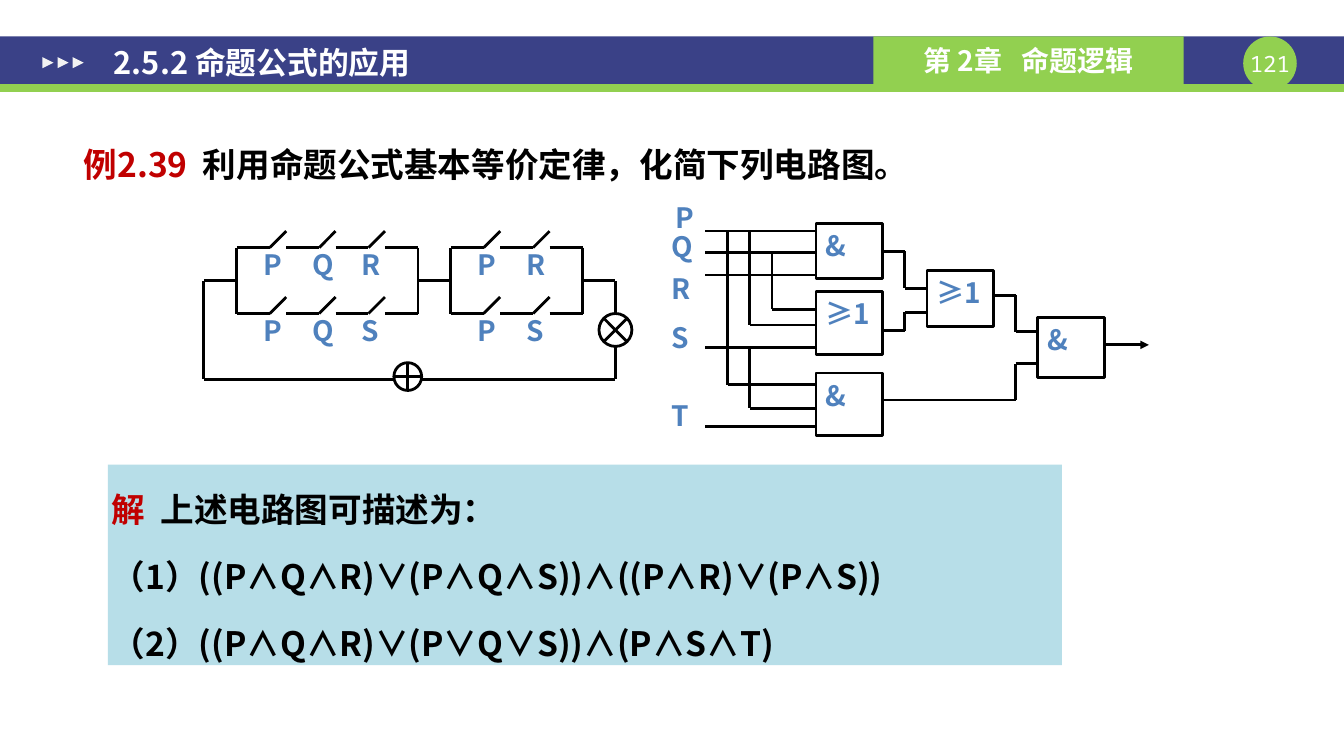
import pptx
import pptx.dml.color
import pptx.enum.shapes
import pptx.enum.text
import pptx.oxml.ns
import pptx.util
import lxml.etree

Cm = pptx.util.Cm
Pt = pptx.util.Pt
SHAPE = pptx.enum.shapes.MSO_SHAPE
ALIGN = pptx.enum.text.PP_ALIGN
ANCHOR = pptx.enum.text.MSO_ANCHOR
qn = pptx.oxml.ns.qn

NAVY, GREEN, RED, BLUE = "3A4187", "92D050", "C00000", "4F81BD"
WHITE, BLACK, PALE, LIGHT = "FFFFFF", "000000", "B7DEE8", "F2F2F2"


def colour(value):
    return pptx.dml.color.RGBColor.from_string(value)


class Board:
    font = "Noto Sans CJK SC"
    stroke = Pt(2)

    def __init__(self, page):
        self.page = page

    def fill_text(self, box, paragraphs, size, align=ALIGN.LEFT, anchor=ANCHOR.TOP,
                  insets=(0.25, 0.13), leading=None, before=0, bold=True, font=None):
        frame = box.text_frame
        frame.word_wrap = True
        frame.auto_size = pptx.enum.text.MSO_AUTO_SIZE.NONE
        frame.vertical_anchor = anchor
        frame.margin_left = frame.margin_right = Cm(insets[0])
        frame.margin_top = frame.margin_bottom = Cm(insets[1])
        for index, spans in enumerate(paragraphs):
            para = frame.add_paragraph() if index else frame.paragraphs[0]
            para.alignment = align
            para.space_before = Pt(before if index else 0)
            if leading:
                para.line_spacing = leading
            for text, tint, *tracking in spans:
                span = para.add_run()
                span.text = text
                span.font.size = Pt(size)
                span.font.bold = bold
                span.font.name = font or self.font
                span.font.color.rgb = colour(tint)
                properties = span._r.get_or_add_rPr()
                asian = lxml.etree.SubElement(properties, qn("a:ea"))
                asian.set("typeface", font or self.font)
                if tracking:
                    properties.set("spc", str(round(tracking[0] * 100)))

    def shape(self, kind, left, top, width, height, fill, outlined=False):
        box = self.page.shapes.add_shape(kind, Cm(left), Cm(top), Cm(width), Cm(height))
        box.shadow.inherit = False
        box.fill.solid()
        box.fill.fore_color.rgb = colour(fill)
        if outlined:
            box.line.color.rgb = colour(BLACK)
            box.line.width = self.stroke
        else:
            box.line.fill.background()
        return box

    def placeholder(self, box, left, top, width, height):
        box.left, box.top, box.width, box.height = Cm(left), Cm(top), Cm(width), Cm(height)
        box.element.getparent().append(box.element)
        return box

    def label(self, text, left, top, width=0.84, height=1.24, outlined=False):
        box = self.shape(SHAPE.RECTANGLE, left, top, width, height, WHITE, outlined)
        self.fill_text(box, [[(text, BLUE)]], 20)

    def gate(self, text, left, top, height):
        self.label(text, left, top, 1.68, height, True)

    def wire(self, *points, arrow=False):
        for start, end in zip(points, points[1:]):
            line = self.page.shapes.add_connector(
                pptx.enum.shapes.MSO_CONNECTOR.STRAIGHT, *map(Cm, start + end))
            line.line.color.rgb = colour(BLACK)
            line.line.width = self.stroke
            properties = line.element.spPr
            if arrow:
                tip = lxml.etree.SubElement(properties.find(qn("a:ln")), qn("a:tailEnd"))
                tip.set("type", "triangle")
            lxml.etree.SubElement(properties, qn("a:effectLst"))

    def header(self):
        self.shape(SHAPE.RECTANGLE, 0, 0.92, 33.88, 1.2, NAVY)
        self.shape(SHAPE.RECTANGLE, 0, 2.12, 33.88, 0.2, GREEN)
        number = self.shape(SHAPE.OVAL, 31.34, 0.92, 1.35, 1.35, GREEN)
        self.fill_text(number, [[("121", WHITE)]], 16, ALIGN.CENTER, ANCHOR.MIDDLE,
                       (0, 0), bold=False, font="Noto Sans Mono")
        number.text_frame.word_wrap = False
        chapter = self.shape(SHAPE.RECTANGLE, 22.02, 0.92, 7.82, 1.2, GREEN)
        self.fill_text(chapter, [[("第 2章", WHITE), (" ", WHITE, 9), ("命题逻辑", WHITE)]],
                       20, ALIGN.CENTER, ANCHOR.MIDDLE)
        for index in range(3):
            mark = self.shape(SHAPE.ISOSCELES_TRIANGLE, 1.07 + 0.38 * index, 1.44, 0.28, 0.28, LIGHT)
            mark.rotation = 90
        title = self.placeholder(self.page.shapes.title, 2.54, 0.28, 22.4, 2.57)
        self.fill_text(title, [[("2.5.2 命题公式的应用", WHITE)]], 22,
                       anchor=ANCHOR.MIDDLE, insets=(0.33, 0.18))

    def example(self):
        body = self.placeholder(self.page.placeholders[1], 1.78, 2.95, 30.18, 1.5)
        properties = body.text_frame.paragraphs[0]._p.get_or_add_pPr()
        properties.set("marL", "0")
        properties.set("indent", "0")
        lxml.etree.SubElement(properties, qn("a:buNone"))
        self.fill_text(body, [[("例2.39", RED), (" ", RED, 5.4),
                               ("利用命题公式基本等价定律，化简下列电路图。", BLACK)]],
                       24, insets=(0.33, 0.18), leading=1.5)

    def switch_circuit(self):
        unit, left, upper = 0.415, 5.14, 6.24
        lower, middle, bottom = upper + 4 * unit, upper + 2 * unit, upper + 8 * unit
        blocks = [(left + 2 * unit, ("PQR", "PQS")), (left + 15 * unit, ("PR", "PS"))]
        for start, rows in blocks:
            for names, level in zip(rows, (upper, lower)):
                for index, name in enumerate(names):
                    self.label(name, start + unit + 1.24 * index, level - 0.13)
        for start, rows in blocks:
            end = start + (3 * len(rows[0]) + 2) * unit
            for level in (upper, lower):
                for index in range(len(rows[0])):
                    near = start + 3 * unit * index
                    hinge = near + 2 * unit
                    self.wire((near, level), (hinge, level), (hinge + unit, level - unit))
                self.wire((end - 2 * unit, level), (end, level))
            for side in (start, end):
                self.wire((side, upper), (side, lower))
            self.wire((end, middle), (end + 2 * unit, middle))
        right = left + 25 * unit
        self.wire((left + 2 * unit, middle), (left, middle), (left, bottom),
                  (right, bottom), (right, middle))
        self.shape(SHAPE.FLOWCHART_SUMMING_JUNCTION, right - unit, lower, 0.83, 0.83, WHITE, True)
        self.shape(SHAPE.FLOWCHART_OR, 9.93, 9.14, 0.7, 0.7, WHITE, True)

    def gate_circuit(self):
        for name, left, top, height in (
                ("T", 16.69, 9.91, 1.42), ("S", 16.69, 7.95, 1.42), ("R", 16.69, 6.71, 0.91),
                ("Q", 16.69, 5.66, 0.99), ("P", 16.79, 4.93, 0.74)):
            self.label(name, left, top, 1.1, height)
        entry, gates = 17.78, 20.57
        for level in (5.82, 6.36, 6.93, 8.75, 10.74):
            self.wire((entry, level), (gates, level))
        for across, start, end in ((18.34, 5.82, 9.7), (18.9, 5.82, 8.19),
                                   (18.9, 8.75, 10.29), (19.46, 6.36, 7.79)):
            self.wire((across, start), (across, end), (gates, end))
        for start, bend, stop, source, target in (
                (22.25, 22.81, 23.37, 6.33, 7.26), (22.25, 22.81, 23.37, 8.33, 7.87),
                (25.04, 25.6, 26.16, 7.44, 8.36), (22.25, 25.6, 26.16, 10.08, 9.16)):
            self.wire((start, source), (bend, source), (bend, target), (stop, target))
        self.wire((27.84, 8.69), (28.96, 8.69), arrow=True)
        for text, left, top, height in (
                ("&", gates, 5.64, 1.37), ("≥1", gates, 7.34, 1.6), ("&", gates, 9.4, 1.57),
                ("≥1", 23.37, 6.81, 1.42), ("&", 26.16, 8, 1.52)):
            self.gate(text, left, top, height)

    def solution(self):
        box = self.shape(SHAPE.RECTANGLE, 2.72, 11.71, 24.05, 5.05, PALE)
        self.fill_text(box, [
            [("解", RED), (" ", RED, 5.4), ("上述电路图可描述为：", BLACK)],
            [("（1）((P∧Q∧R)∨(P∧Q∧S))∧((P∧R)∨(P∧S))", BLACK)],
            [("（2）((P∧Q∧R)∨(P∨Q∨S))∧(P∧S∧T)", BLACK)],
        ], 24, insets=(0.1, 0.1), leading=1.5, before=4.8)


def main():
    deck = pptx.Presentation()
    deck.slide_width, deck.slide_height = Cm(33.88), Cm(19.05)
    board = Board(deck.slides.add_slide(deck.slide_layouts[1]))
    board.header()
    board.example()
    board.switch_circuit()
    board.gate_circuit()
    board.solution()
    deck.save("out.pptx")


if __name__ == "__main__":
    main()
